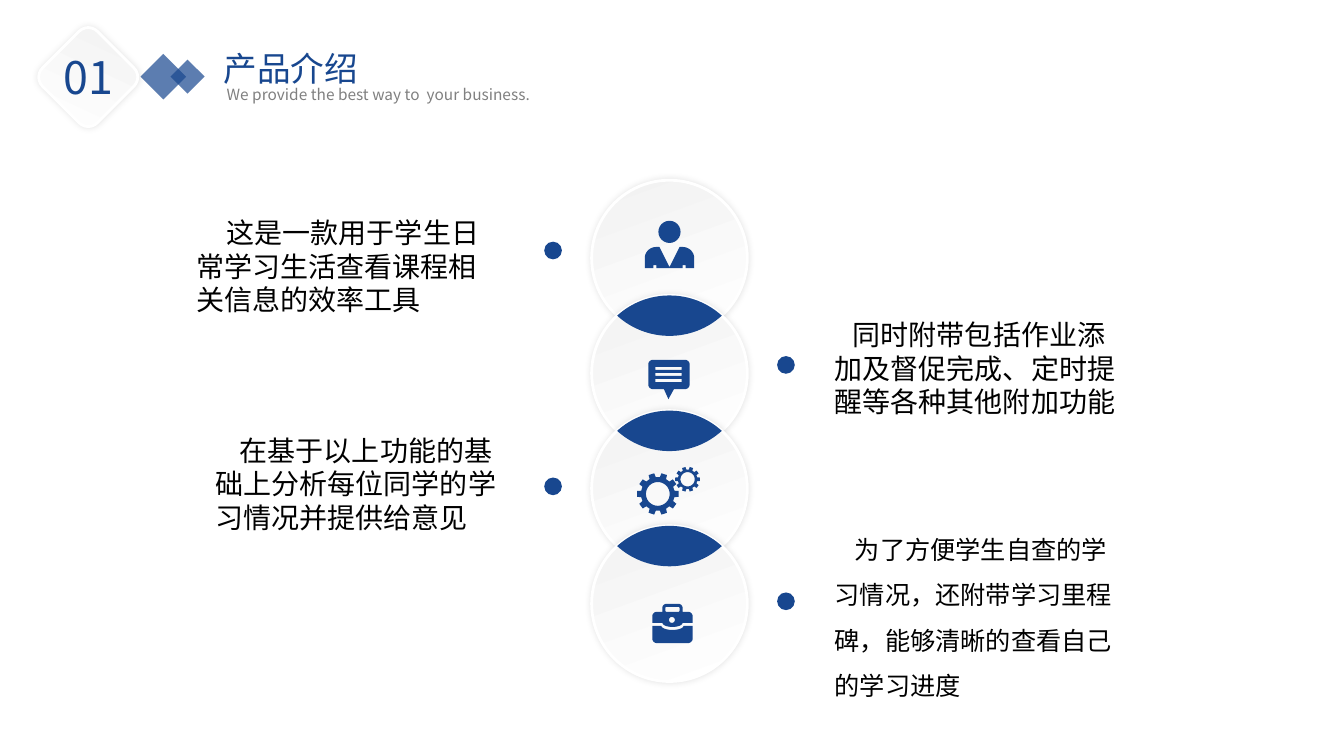
from math import acos, cos, degrees, radians, sin

from lxml.etree import SubElement
from pptx import Presentation
from pptx.dml.color import RGBColor
from pptx.enum.shapes import MSO_SHAPE as Shape
from pptx.oxml.ns import qn
from pptx.util import Inches, Pt

BLUE = RGBColor(0x18, 0x47, 0x8F)
GREY = RGBColor(0x80, 0x80, 0x80)
PALE = RGBColor(0xF2, 0xF2, 0xF2)
WHITE = RGBColor(0xFF, 0xFF, 0xFF)
BLACK = RGBColor(0, 0, 0)
SANS, ARIAL = "Noto Sans CJK SC", "Arial"
CELL = Inches(0.1)  # one column or row of the grid


def arc(x, y, rx, ry, start, end, steps=12):
    """Points on an ellipse, in degrees clockwise from the right."""
    angles = [radians(start + (end - start) * i / steps) for i in range(steps + 1)]
    return [(x + rx * cos(a), y + ry * sin(a)) for a in angles]


def rounded(x, y, w, h, r):
    """Outline of a rectangle with rounded corners."""
    corners = [(x + w - r, y + h - r), (x + r, y + h - r),
               (x + r, y + r), (x + w - r, y + r)]
    return [pt for i, (cx, cy) in enumerate(corners)
            for pt in arc(cx, cy, r, r, 90 * i, 90 * i + 90, 6)]


def gear(x, y, outer, root, hole, teeth=10):
    """Contours of a toothed wheel and its hole."""
    rim = []
    for i in range(teeth):
        for turn, r in ((-11, root), (-8, outer), (8, outer), (11, root)):
            a = radians(360 * i / teeth + turn)
            rim.append((x + r * cos(a), y + r * sin(a)))
    return [rim, arc(x, y, hole, hole, 0, 360, 32)]


class Deck:
    def __init__(self):
        self.prs = Presentation()
        self.prs.slide_width, self.prs.slide_height = Inches(13.33), Inches(7.5)
        self.s = self.prs.slides.add_slide(self.prs.slide_layouts[6])

    def emu(self, *cells):
        return [round(v * CELL) for v in cells]

    def paint(self, sp, color=BLUE, alpha=None):
        sp.shadow.inherit = False
        sp.fill.solid()
        sp.fill.fore_color.rgb = color
        sp.line.fill.background()
        if alpha:
            clr = sp.fill._xPr.find(qn("a:solidFill"))[0]
            SubElement(clr, qn("a:alpha"), val=str(alpha * 1000))

    def shape(self, kind, x, y, w, h, turn=0, alpha=None):
        """A flat blue shape, placed by its centre."""
        sp = self.s.shapes.add_shape(kind, *self.emu(x - w / 2, y - h / 2, w, h))
        sp.rotation = turn
        self.paint(sp, alpha=alpha)
        return sp

    def raised(self, kind, x, y, size, turn=0):
        """A pale shape with a gradient, a rim and a soft shadow."""
        sp = self.shape(kind, x, y, size, size, turn)
        sp.fill.gradient()
        sp.fill.gradient_angle = 110
        for stop, color, at in zip(sp.fill.gradient_stops, (WHITE, PALE), (0, 1)):
            stop.color.rgb, stop.position = color, at
        sp.line.color.rgb = WHITE
        sp.line.width = Pt(2)
        effects = sp._element.spPr.find(qn("a:effectLst"))
        shadow = SubElement(effects, qn("a:outerShdw"), blurRad=str(Pt(5)),
                            dist="0", dir="0", rotWithShape="0")
        clr = SubElement(shadow, qn("a:srgbClr"), val=str(BLACK))
        SubElement(clr, qn("a:alpha"), val="11000")

    def outline(self, *contours):
        """A blue freeform; inner contours become holes."""
        first, *holes = [[self.emu(*pt) for pt in pts] for pts in contours]
        fb = self.s.shapes.build_freeform(*first[0])
        fb.add_line_segments(first[1:], close=True)
        for pts in holes:
            fb.move_to(*pts[0])
            fb.add_line_segments(pts[1:], close=True)
        self.paint(fb.convert_to_shape())

    def text(self, words, x, y, w, h, size, color=BLACK, font=SANS,
             indent=0, pitch=1.2, wrap=True):
        tf = self.s.shapes.add_textbox(*self.emu(x, y, w, h)).text_frame
        tf.word_wrap = wrap
        p = tf.paragraphs[0]
        r = p.add_run()
        r.text = words
        p.line_spacing = Pt(size * pitch)
        p.font.size, p.font.name, p.font.color.rgb = Pt(size), font, color
        p._p.get_or_add_pPr().set("marL", "0")
        p._p.pPr.set("indent", str(round(indent * CELL)))
        SubElement(r._r.get_or_add_rPr(), qn("a:ea"), typeface=SANS)


def main():
    d = Deck()

    # Chain of circles with lens-shaped overlaps
    mid, top, step, radius = 66.4, 25.6, 11.43, 7.72
    for i in range(4):
        d.raised(Shape.OVAL, mid, top + i * step, 2 * radius)
    spread = degrees(acos(step / 2 / radius))
    for i in range(3):
        upper = top + i * step
        lower = upper + step
        d.outline(arc(mid, upper, radius, radius, 90 - spread, 90 + spread, 32)
                  + arc(mid, lower, radius, radius, 270 - spread, 270 + spread, 32))

    # Person icon
    d.shape(Shape.OVAL, 66.4, 23, 2.2, 2.2)
    left = ([(65.1, 26.6), (65.1, 26.3), (64.8, 26.3), (64.8, 26.6), (63.95, 26.6)]
            + arc(65.1, 25.6, 1.15, 1.1, 180, 270) + [(65.4, 24.5), (66.4, 26.5)])
    d.outline(left + [(2 * mid - x, y) for x, y in reversed(left)])

    # Speech icon
    lines = [[(65, y), (67.6, y), (67.6, y + 0.3), (65, y + 0.3)]
             for y in (36.4, 37, 37.6)]
    d.outline(rounded(64.3, 35.7, 4.1, 2.9, 0.45), *lines)
    d.outline([(65.8, 38.5), (66.9, 38.5), (66.3, 39.6)])

    # Gears icon
    d.outline(*gear(65.25, 49, 2.08, 1.68, 1.18))
    d.outline(*gear(68.2, 47.55, 1.24, 0.97, 0.71))

    # Briefcase icon
    d.outline([(64.7, 62.1), *arc(66.7, 62.1, 1.1, 0.4, 180, 0), (68.7, 62.1)]
              + arc(68.25, 63.35, 0.45, 0.45, 0, 90)
              + arc(65.15, 63.35, 0.45, 0.45, 90, 180))
    d.outline([(64.7, 61.8), *arc(66.7, 61.8, 1, 0.4, 180, 0), (68.7, 61.8)]
              + arc(68.25, 61.15, 0.45, 0.45, 0, -90)
              + [(67.7, 60.7)] + arc(67.25, 60.3, 0.45, 0.4, 0, -90)
              + arc(66.15, 60.3, 0.45, 0.4, 270, 180) + [(65.7, 60.7)]
              + arc(65.15, 61.15, 0.45, 0.45, 270, 180),
              rounded(66, 60.2, 1.4, 0.5, 0.1),
              arc(66.65, 61.5, 0.3, 0.3, 0, 360))

    # Descriptions and their dots
    d.text("这是一款用于学生日常学习生活查看课程相关信息的效率工具",
           18.5, 20.9, 32, 11.1, 20, font=ARIAL, indent=3)
    d.text("同时附带包括作业添加及督促完成、定时提醒等各种其他附加功能",
           81.8, 31, 29.9, 11.1, 20, indent=1.8)
    d.text("在基于以上功能的基础上分析每位同学的学习情况并提供给意见",
           20.4, 42.5, 30.7, 11.1, 20, font=ARIAL, indent=2.4)
    d.text("为了方便学生自查的学习情况，还附带学习里程碑，能够清晰的查看自己的学习进度",
           81.8, 51, 29.9, 18.7, 18, indent=2, pitch=1.8)
    for x, y in ((54.85, 24.85), (77.95, 36.2), (54.85, 48.25), (77.95, 59.65)):
        d.shape(Shape.OVAL, x, y, 1.75, 1.75)

    # Heading
    for x, size in ((16.2, 3.2), (18.6, 2.4)):
        d.shape(Shape.RECTANGLE, x, 7.6, size, size, 225, 70)
    d.text("We provide the best way to  your business.",
           21.5, 7.9, 40.2, 2.9, 11, GREY)
    d.text("产品介绍", 21.2, 4.3, 32.5, 5, 24, BLUE)
    d.raised(Shape.ROUNDED_RECTANGLE, 8.75, 7.65, 7.7, 45)
    d.text("01", 5.3, 4.4, 7.3, 6.4, 32, BLUE, wrap=False)

    d.prs.save("out.pptx")


if __name__ == "__main__":
    main()
